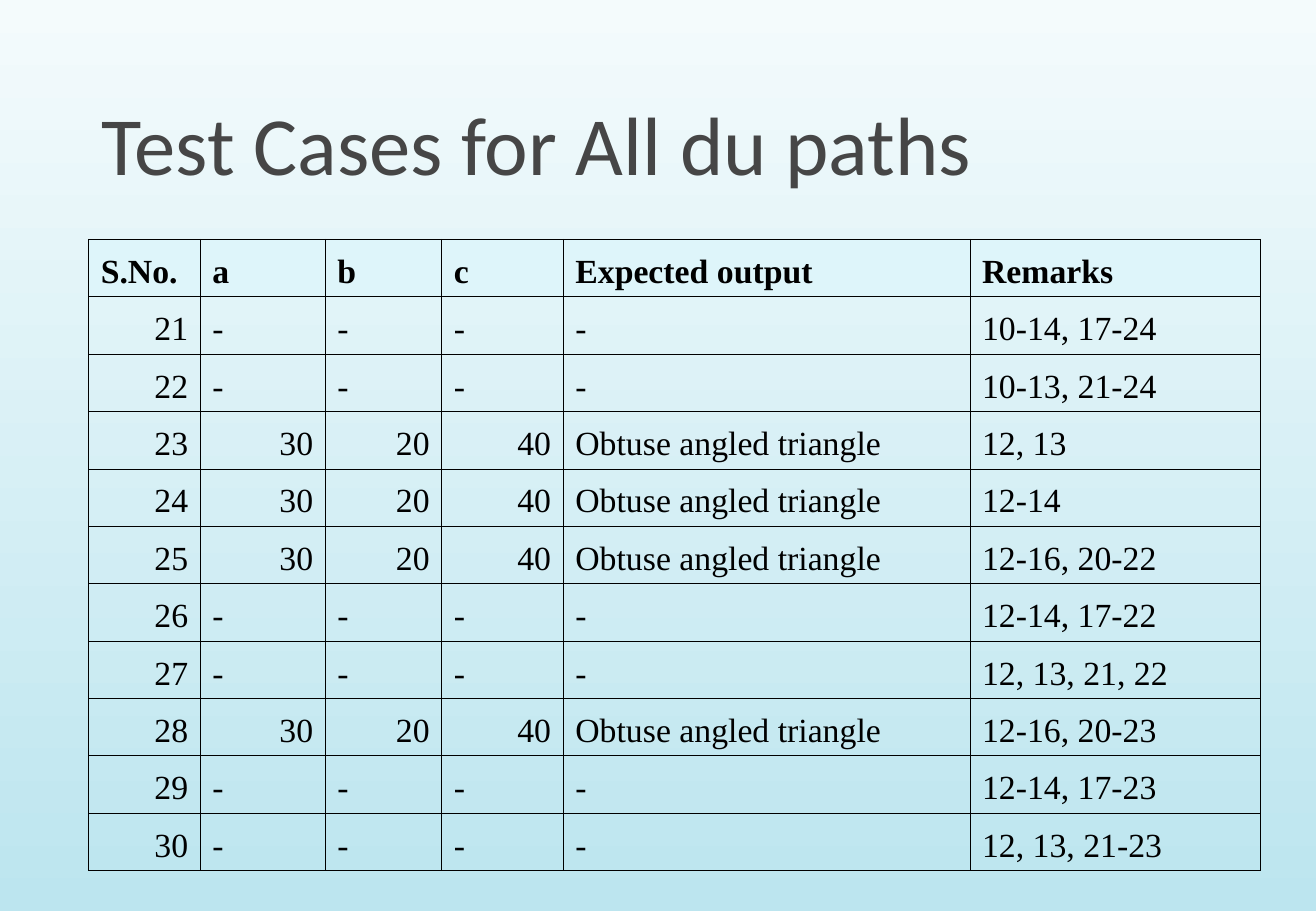
from dataclasses import dataclass

from lxml.etree import SubElement
from pptx import Presentation
from pptx.dml.color import RGBColor
from pptx.enum.text import MSO_ANCHOR, PP_ALIGN
from pptx.oxml.ns import qn
from pptx.slide import Slide
from pptx.table import _Cell
from pptx.util import Inches, Pt


@dataclass(frozen=True)
class Theme:
    """Colours, fonts and sizes of the slide."""

    sky_top: str = "F4FBFC"
    sky_bottom: str = "BCE5EF"
    heading: str = "464646"
    ink: str = "000000"
    header_fill: str = "DEF5FA"
    heading_font: str = "Calibri"
    table_font: str = "Times New Roman"
    heading_size: float = 49
    table_size: float = 20
    border_width: float = 0.45


@dataclass(frozen=True)
class Case:
    """One test case, with dashes where no input applies."""

    number: str
    remarks: str
    a: str = "-"
    b: str = "-"
    c: str = "-"
    expected: str = "-"

    def texts(self) -> list[str]:
        """Return the cell texts in column order."""
        return [self.number, self.a, self.b, self.c, self.expected, self.remarks]


THEME = Theme()
HEADINGS = ["S.No.", "a", "b", "c", "Expected output", "Remarks"]
COLUMN_WIDTHS = [0.92, 1.03, 0.96, 1, 3.35, 2.39]
TABLE_HEIGHT = 5.2
OBTUSE = ("30", "20", "40", "Obtuse angled triangle")
CASES = [
    Case("21", "10-14, 17-24"),
    Case("22", "10-13, 21-24"),
    Case("23", "12, 13", *OBTUSE),
    Case("24", "12-14", *OBTUSE),
    Case("25", "12-16, 20-22", *OBTUSE),
    Case("26", "12-14, 17-22"),
    Case("27", "12, 13, 21, 22"),
    Case("28", "12-16, 20-23", *OBTUSE),
    Case("29", "12-14, 17-23"),
    Case("30", "12, 13, 21-23"),
]


def paint_background(slide: Slide) -> None:
    """Fill the slide with a gradient running from top to bottom."""
    fill = slide.background.fill
    fill.gradient()
    fill.gradient_angle = 270
    for stop, colour in zip(fill.gradient_stops, (THEME.sky_top, THEME.sky_bottom)):
        stop.color.rgb = RGBColor.from_string(colour)


def add_heading(slide: Slide, text: str) -> None:
    """Add the slide heading."""
    heading = slide.shapes.add_textbox(Inches(0.72), Inches(0.17), Inches(9.66), Inches(1.47))
    frame = heading.text_frame
    frame.word_wrap = True
    frame.vertical_anchor = MSO_ANCHOR.BOTTOM
    frame.margin_left = frame.margin_right = Inches(0.12)
    frame.margin_top = frame.margin_bottom = Inches(0.06)
    paragraph = frame.paragraphs[0]
    paragraph.text = text
    paragraph.font.name = THEME.heading_font
    paragraph.font.size = Pt(THEME.heading_size)
    paragraph.font.color.rgb = RGBColor.from_string(THEME.heading)


def add_borders(cell: _Cell) -> None:
    """Draw a thin line on all four sides of a cell."""
    properties = cell._tc.get_or_add_tcPr()
    for side in ("a:lnL", "a:lnR", "a:lnT", "a:lnB"):
        line = SubElement(properties, qn(side), w=str(Pt(THEME.border_width)))
        SubElement(SubElement(line, qn("a:solidFill")), qn("a:srgbClr"), val=THEME.ink)


def fill_cell(cell: _Cell, text: str, is_header: bool) -> None:
    """Write and style one cell, with whole numbers set to the right."""
    add_borders(cell)
    if is_header:
        cell.fill.solid()
        cell.fill.fore_color.rgb = RGBColor.from_string(THEME.header_fill)
    else:
        cell.fill.background()
    cell.vertical_anchor = MSO_ANCHOR.BOTTOM
    cell.margin_left = cell.margin_right = Inches(0.1)
    cell.margin_top = cell.margin_bottom = Inches(0.05)
    paragraph = cell.text_frame.paragraphs[0]
    paragraph.text = text
    paragraph.alignment = PP_ALIGN.RIGHT if text.isdigit() else PP_ALIGN.LEFT
    paragraph.font.name = THEME.table_font
    paragraph.font.size = Pt(THEME.table_size)
    paragraph.font.bold = is_header
    paragraph.font.color.rgb = RGBColor.from_string(THEME.ink)


def add_case_table(slide: Slide) -> None:
    """Add the table of test cases."""
    rows = [HEADINGS, *(case.texts() for case in CASES)]
    table = slide.shapes.add_table(
        len(rows), len(HEADINGS), Inches(0.73), Inches(1.97),
        Inches(sum(COLUMN_WIDTHS)), Inches(TABLE_HEIGHT),
    ).table
    table.horz_banding = False
    for column, width in zip(table.columns, COLUMN_WIDTHS):
        column.width = Inches(width)
    for row_index, texts in enumerate(rows):
        for column_index, text in enumerate(texts):
            fill_cell(table.cell(row_index, column_index), text, row_index == 0)


def main() -> None:
    """Build and save the slide."""
    deck = Presentation()
    deck.slide_width, deck.slide_height = Inches(10.84), Inches(7.5)
    slide = deck.slides.add_slide(deck.slide_layouts[6])
    paint_background(slide)
    add_heading(slide, "Test Cases for All du paths")
    add_case_table(slide)
    deck.save("out.pptx")


if __name__ == "__main__":
    main()
